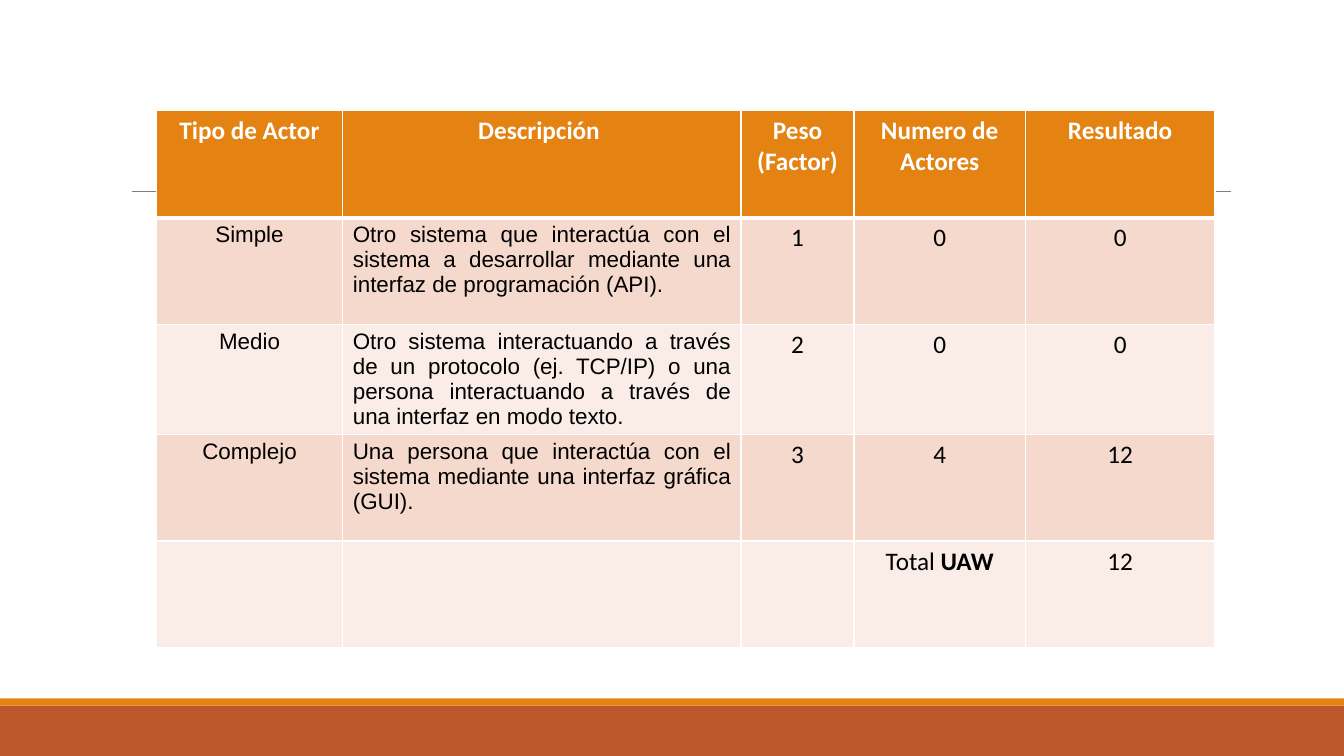
from lxml import etree
from pptx import Presentation
from pptx.dml.color import RGBColor
from pptx.enum.shapes import MSO_CONNECTOR, MSO_SHAPE
from pptx.enum.text import PP_ALIGN
from pptx.oxml.ns import qn
from pptx.util import Inches, Pt

RECT, STRAIGHT = MSO_SHAPE.RECTANGLE, MSO_CONNECTOR.STRAIGHT
CENTER, JUSTIFY = PP_ALIGN.CENTER, PP_ALIGN.JUSTIFY

COLORS = {"orange": "E48312", "rust": "BD582C", "gray": "808080", "white": "FFFFFF",
          "black": "000000", "band_dark": "F5D9CC", "band_light": "FAEDE7"}
HEAD = {"name": "Calibri", "size": Pt(18), "bold": True}
TEXT = {"name": "Arial", "size": Pt(16), "bold": False}
NUMBER = {"name": "Calibri", "size": Pt(18), "bold": False}

COL_WIDTHS = [1.85, 3.95, 1.12, 1.7, 1.88]
ROW_HEIGHT = 1.06
ROWS = [
    ["Tipo de Actor", "Descripción ", "Peso (Factor)", "Numero de Actores", "Resultado"],
    ["Simple", "Otro sistema que interactúa con el sistema a desarrollar mediante una "
     "interfaz de programación (API). ", "1", "0", "0"],
    ["Medio", "Otro sistema interactuando a través de un protocolo (ej. TCP/IP) o una "
     "persona interactuando a través de una interfaz en modo texto.", "2", "0", "0"],
    ["Complejo", "Una persona que interactúa con el sistema mediante una interfaz "
     "gráfica (GUI). ", "3", "4", "12"],
    ["", "", "", ("Total ", "UAW"), "12"],
]


def rgb(name):
    return RGBColor.from_string(COLORS[name])


class SlideBuilder:
    """Draws styled elements on the current slide."""

    def __init__(self, prs):
        self.s = prs.slides.add_slide(prs.slide_layouts[6])

    def bar(self, x, y, w, h, color):
        sp = self.s.shapes.add_shape(RECT, Inches(x), Inches(y), Inches(w), Inches(h))
        sp.shadow.inherit = False
        sp.fill.solid()
        sp.fill.fore_color.rgb = rgb(color)
        sp.line.fill.background()

    def rule(self, x1, x2, y, color, width):
        cx = self.s.shapes.add_connector(STRAIGHT, Inches(x1), Inches(y), Inches(x2), Inches(y))
        cx.line.color.rgb = rgb(color)
        cx.line.width = Pt(width)
        etree.SubElement(cx._element.spPr, qn("a:effectLst"))

    def run(self, p, text, style, color):
        r = p.add_run()
        r.text = text
        for key, value in style.items():
            setattr(r.font, key, value)
        r.font.color.rgb = rgb(color)

    def borders(self, cell, bottom):
        tcPr = cell._tc.get_or_add_tcPr()
        for i, (side, width) in enumerate({"L": 1, "R": 1, "T": 1, "B": bottom}.items()):
            ln = etree.Element(qn(f"a:ln{side}"), w=str(Pt(width)))
            fill = etree.SubElement(ln, qn("a:solidFill"))
            etree.SubElement(fill, qn("a:srgbClr"), val=COLORS["white"])
            tcPr.insert(i, ln)

    def cell(self, cell, content, style, align, fill, color, bottom):
        cell.fill.solid()
        cell.fill.fore_color.rgb = rgb(fill)
        self.borders(cell, bottom)
        p = cell.text_frame.paragraphs[0]
        p.alignment = align
        if isinstance(content, tuple):
            plain, strong = content
            self.run(p, plain, style, color)
            self.run(p, strong, {**style, "bold": True}, color)
        elif content:
            self.run(p, content, style, color)

    def table(self, x, y, rows, widths, row_height):
        tbl = self.s.shapes.add_table(len(rows), len(widths), Inches(x), Inches(y),
                                      Inches(sum(widths)), Inches(row_height * len(rows))).table
        for col, width in zip(tbl.columns, widths):
            col.width = Inches(width)
        for i, row in enumerate(rows):
            tbl.rows[i].height = Inches(row_height)
            for j, content in enumerate(row):
                if i == 0:
                    look = HEAD, CENTER, "orange", "white", 3
                else:
                    look = (TEXT if j < 2 else NUMBER, JUSTIFY if j == 1 else CENTER,
                            "band_dark" if i % 2 else "band_light", "black", 1)
                self.cell(tbl.cell(i, j), content, *look)


def main():
    prs = Presentation()
    prs.slide_width, prs.slide_height = Inches(13.33), Inches(7.5)
    slide = SlideBuilder(prs)
    slide.bar(0, 7, 13.33, 0.5, "rust")
    slide.bar(0, 6.93, 13.33, 0.07, "orange")
    slide.rule(1.31, 12.21, 1.9, "gray", 0.5)
    slide.table(1.55, 1.1, ROWS, COL_WIDTHS, ROW_HEIGHT)
    prs.save("out.pptx")


if __name__ == "__main__":
    main()
